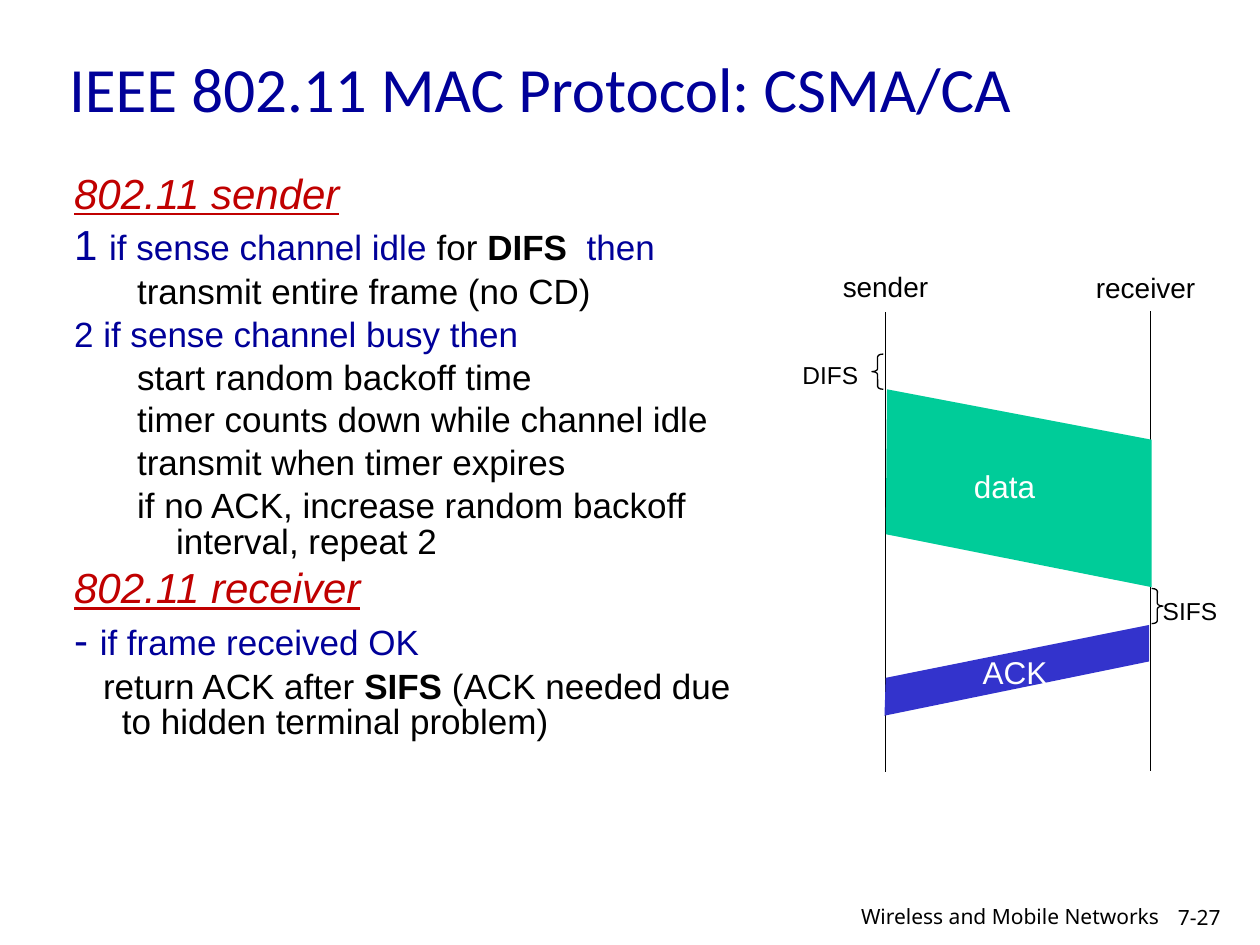
from lxml import etree
from pptx import Presentation
from pptx.dml.color import RGBColor
from pptx.enum.shapes import MSO_CONNECTOR, MSO_SHAPE
from pptx.enum.text import MSO_ANCHOR, PP_ALIGN
from pptx.oxml.ns import qn
from pptx.util import Inches, Pt

BLACK, WHITE, NAVY, RED = "000000", "FFFFFF", "000099", "C00000"
GREEN, BLUE = "00CC99", "3333CC"

# Content
TITLE = "IEEE 802.11 MAC Protocol: CSMA/CA"

# Paragraph kinds: left margin, first-line indent (inches)
INDENTS = {"main": (0.38, -0.38), "sub": (0.81, -0.31), "reply": (0.38, -0.15)}
# Run styles: size, colour, bold, heading (italic and underlined)
STYLES = {
    "head": (24, RED, False, True),
    "mark": (24, NAVY, False, False),
    "rule": (20, NAVY, False, False),
    "text": (20, BLACK, False, False),
    "bold": (20, BLACK, True, False),
}
BODY = [
    ("main", [("802.11 sender", "head")]),
    ("main", [("1 ", "mark"), ("if sense channel idle", "rule"), (" for ", "text"),
              ("DIFS ", "bold"), (" then", "rule")]),
    ("sub", [("transmit entire frame (no CD)", "text")]),
    ("main", [("2 if sense channel busy then", "rule")]),
    ("sub", [("start random backoff time", "text")]),
    ("sub", [("timer counts down while channel idle", "text")]),
    ("sub", [("transmit when timer expires", "text")]),
    ("sub", [("if no ACK, increase random backoff interval, repeat 2", "text")]),
    ("main", [("802.11 receiver", "head")]),
    ("main", [("- ", "mark"), ("if frame received OK", "rule")]),
    ("reply", [("return ACK after ", "text"), ("SIFS ", "bold"),
               ("(ACK needed due to hidden terminal problem)", "text")]),
]

# Timing diagram: x, top, bottom
TIMELINES = [(7.03, 2.48, 6.13), (9.13, 2.47, 6.12)]
FRAMES = [
    (GREEN, [(7.04, 3.09), (9.14, 3.49), (9.14, 4.66), (7.03, 4.24)]),
    (BLUE, [(7.02, 5.68), (9.12, 5.25), (9.12, 4.96), (7.03, 5.38)]),
]
BRACES = [(MSO_SHAPE.LEFT_BRACE, 6.92, 2.81), (MSO_SHAPE.RIGHT_BRACE, 9.14, 4.67)]
LABELS = [
    ("sender", (6.59, 2.09, 0.91, 0.37), 16, BLACK),
    ("receiver", (8.6, 2.1, 1, 0.37), 16, BLACK),
    ("DIFS", (6.27, 2.81, 0.65, 0.34), 14, BLACK),
    ("data", (7.63, 3.66, 0.69, 0.4), 18, WHITE),
    ("SIFS", (9.13, 4.68, 0.64, 0.34), 14, BLACK),
    ("ACK", (7.7, 5.13, 0.72, 0.4), 18, WHITE),
]
FOOTERS = [
    ("7-27", (9.25, 7.13, 0.75, 0.3), PP_ALIGN.LEFT),
    ("Wireless and Mobile Networks", (6.4, 7.12, 2.9, 0.28), PP_ALIGN.RIGHT),
]


def rgb(color):
    return RGBColor.from_string(color)


def set_font(font, size, color, name="Arial"):
    font.size, font.name = Pt(size), name
    font.color.rgb = rgb(color)


def add_box(box, wrap=True):
    tf = s.shapes.add_textbox(*map(Inches, box)).text_frame
    tf.word_wrap = wrap
    return tf


def add_text(text, box, size, color, name="Arial", wrap=True, align=PP_ALIGN.LEFT):
    tf = add_box(box, wrap)
    p = tf.paragraphs[0]
    p.text, p.alignment = text, align
    set_font(p.font, size, color, name)
    return tf


prs = Presentation()
prs.slide_width, prs.slide_height = Inches(10), Inches(7.5)
s = prs.slides.add_slide(prs.slide_layouts[6])

# Title
tf = add_text(TITLE, (0.45, 0.17, 8.99, 1.04), 36, NAVY, "Calibri")
tf.vertical_anchor = MSO_ANCHOR.MIDDLE

# Sender and receiver rules
tf = add_box((0.49, 1.34, 5.67, 5.42))
for i, (kind, runs) in enumerate(BODY):
    p = tf.add_paragraph() if i else tf.paragraphs[0]
    p.line_spacing = 0.85
    p.space_before = Pt(0.2 * STYLES[runs[0][1]][0])
    margin, indent = INDENTS[kind]
    pPr = p._p.get_or_add_pPr()
    pPr.set("marL", str(Inches(margin)))
    pPr.set("indent", str(Inches(indent)))
    for text, style in runs:
        size, color, bold, heading = STYLES[style]
        r = p.add_run()
        r.text = text
        set_font(r.font, size, color)
        r.font.bold = bold
        r.font.italic = r.font.underline = heading

# Timelines
for x, top, bottom in TIMELINES:
    line = s.shapes.add_connector(MSO_CONNECTOR.STRAIGHT, Inches(x), Inches(top),
                                  Inches(x), Inches(bottom))
    line.line.color.rgb = rgb(BLACK)
    line.line.width = Pt(0.75)
    etree.SubElement(line._element.spPr, qn("a:effectLst"))

# Data and ACK frames
for color, points in FRAMES:
    corners = [(Inches(x), Inches(y)) for x, y in points]
    outline = s.shapes.build_freeform(*corners[0])
    outline.add_line_segments(corners[1:], close=True)
    sp = outline.convert_to_shape()
    sp.shadow.inherit = False
    sp.fill.solid()
    sp.fill.fore_color.rgb = rgb(color)
    sp.line.fill.background()

# Waiting-time braces
for shape, x, y in BRACES:
    sp = s.shapes.add_shape(shape, *map(Inches, (x, y, 0.09, 0.28)))
    sp.adjustments[0] = 0.25
    sp.shadow.inherit = False
    sp.fill.background()
    sp.line.color.rgb = rgb(BLACK)
    sp.line.width = Pt(0.75)

# Diagram labels
for text, box, size, color in LABELS:
    add_text(text, box, size, color, wrap=False)

# Footer
for text, box, align in FOOTERS:
    add_text(text, box, 12, BLACK, "Noto Sans", align=align)

prs.save("out.pptx")
